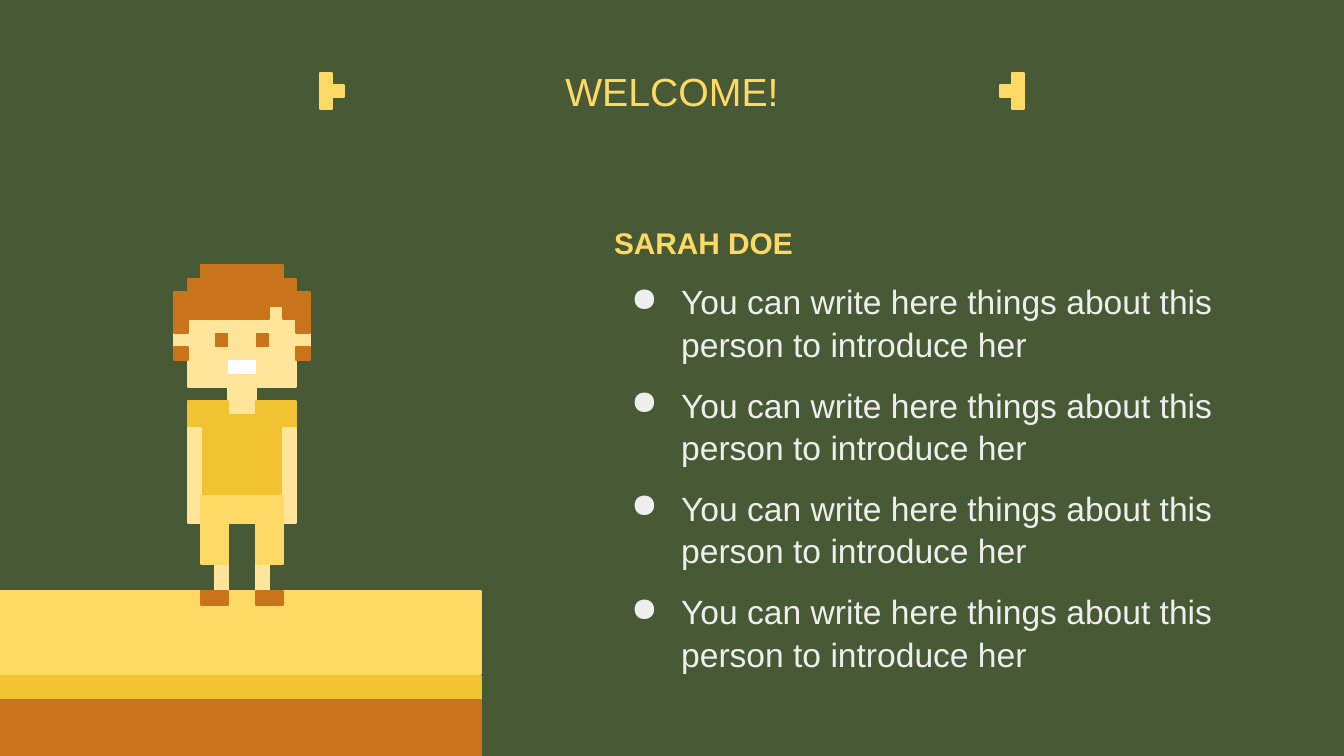
from lxml import etree
from pptx import Presentation
from pptx.dml.color import RGBColor
from pptx.enum.shapes import MSO_SHAPE
from pptx.enum.text import MSO_ANCHOR, PP_ALIGN
from pptx.oxml.ns import qn
from pptx.util import Pt

RECT = MSO_SHAPE.RECTANGLE
BOTTOM, MIDDLE = MSO_ANCHOR.BOTTOM, MSO_ANCHOR.MIDDLE
LEFT, CENTER = PP_ALIGN.LEFT, PP_ALIGN.CENTER

GREEN = RGBColor(0x48, 0x59, 0x35)
YELLOW = RGBColor(0xFF, 0xD9, 0x66)
GOLD = RGBColor(0xF1, 0xC2, 0x32)
BROWN = RGBColor(0xC9, 0x74, 0x1B)
SKIN = RGBColor(0xFF, 0xE5, 0x99)
WHITE = RGBColor(0xFF, 0xFF, 0xFF)
PALE = RGBColor(0xEE, 0xEE, 0xEE)

FONT = "Arial"
WIDTH, HEIGHT = 1344, 756
FIGURE_X, FIGURE_Y, CELL = 174, 265, 13.6
MARK_CELL = 12
BULLET_TEXT = "You can write here things about this person to introduce her"


def px(n):
    return round(n * 9144000 / WIDTH)


def paint(sp, color, outlined=True):
    sp.shadow.inherit = False
    sp.fill.solid()
    sp.fill.fore_color.rgb = color
    if outlined:
        sp.line.color.rgb = color
        sp.line.width = Pt(0.75)
    else:
        sp.line.fill.background()


def add_polygon(s, points, color, outlined=True):
    points = [(px(x), px(y)) for x, y in points]
    builder = s.shapes.build_freeform(*points[0])
    builder.add_line_segments(points[1:], close=True)
    paint(builder.convert_to_shape(), color, outlined)


def box(x, y, w, h):
    return [(x, y), (x, y + h), (x + w, y + h), (x + w, y)]


def add_band(s, y, h, color):
    paint(s.shapes.add_shape(RECT, 0, px(y), px(481), px(h)), color)


def add_part(s, cells, color, outlined=True):
    """Draw one part of the figure, given in grid cells."""
    points = [(round(FIGURE_X + c * CELL), round(FIGURE_Y + r * CELL))
              for c, r in cells]
    add_polygon(s, points, color, outlined)


def add_figure(s):
    # Shins
    for col in (6, 3):
        add_part(s, box(col, 22, 1, 2), SKIN)
    # Face and neck
    add_part(s, [(7, 3), (7, 4), (1, 4), (1, 5), (0, 5), (0, 6), (1, 6),
                 (1, 9), (4, 9), (4, 11), (6, 11), (6, 9), (9, 9), (9, 6),
                 (10, 6), (10, 5), (9, 5), (9, 4), (8, 4), (8, 3)], SKIN)
    # Shirt
    add_part(s, [(1, 10), (1, 12), (2, 12), (2, 17), (8, 17), (8, 12),
                 (9, 12), (9, 10), (6, 10), (6, 11), (4, 11), (4, 10)], GOLD)
    # Eyes and mouth
    for col in (6, 3):
        add_part(s, box(col, 5, 1, 1), BROWN, outlined=False)
    add_part(s, box(4, 7, 2, 1), WHITE, outlined=False)
    # Arms
    for col in (8, 1):
        add_part(s, box(col, 12, 1, 7), SKIN)
    # Shoes
    for col in (6, 2):
        add_part(s, box(col, 24, 2, 1), BROWN)
    # Hair
    add_part(s, [(2, 0), (2, 1), (1, 1), (1, 2), (0, 2), (0, 5), (1, 5),
                 (1, 4), (7, 4), (7, 3), (8, 3), (8, 4), (9, 4), (9, 5),
                 (10, 5), (10, 2), (9, 2), (9, 1), (8, 1), (8, 0)], BROWN)
    # Shorts
    add_part(s, [(2, 17), (2, 22), (4, 22), (4, 19), (6, 19), (6, 22),
                 (8, 22), (8, 17)], YELLOW)
    # Hair ends
    for col in (0, 9):
        add_part(s, box(col, 6, 1, 1), BROWN)


def add_mark(s, x, side):
    """Draw a column of three squares with a fourth one beside its middle."""
    for col, row in ((0, 0), (0, 1), (0, 2), (side, 1)):
        add_polygon(s, box(x + col * MARK_CELL, 73 + row * MARK_CELL,
                           MARK_CELL, MARK_CELL), YELLOW)


def add_text(s, x, y, w, h, lines, size, color, anchor, align=LEFT, bold=False):
    tf = s.shapes.add_textbox(px(x), px(y), px(w), px(h)).text_frame
    tf.word_wrap = True
    tf.vertical_anchor = anchor
    tf.margin_left = tf.margin_right = tf.margin_top = tf.margin_bottom = Pt(7.2)
    tf.text = "\n".join(lines)
    for p in tf.paragraphs:
        p.alignment = align
        p.font.name, p.font.size, p.font.bold = FONT, Pt(size), bold
        p.font.color.rgb = color
    return tf


def add_bullet(p, color):
    pPr = p._p.get_or_add_pPr()
    pPr.set("marL", str(px(67)))
    pPr.set("indent", str(px(-50)))
    char = etree.Element(qn("a:buChar"), char="●")
    clr = etree.Element(qn("a:buClr"))
    etree.SubElement(clr, qn("a:srgbClr"), val=str(color))
    pPr.insert(0, clr)
    pPr.insert(1, char)


def main():
    prs = Presentation()
    prs.slide_width, prs.slide_height = px(WIDTH), px(HEIGHT)
    s = prs.slides.add_slide(prs.slide_layouts[6])
    s.background.fill.solid()
    s.background.fill.fore_color.rgb = GREEN

    # Ground and figure
    for y, h, color in ((591, 83, YELLOW), (676, 23, GOLD), (700, 56, BROWN)):
        add_band(s, y, h, color)
    add_figure(s)

    # Headings
    add_text(s, 46, 43, 1252, 85, ["WELCOME!"], 21, YELLOW, BOTTOM, CENTER)
    add_text(s, 601, 93, 456, 181, ["SARAH DOE"], 16, YELLOW, BOTTOM, bold=True)
    add_mark(s, 320, 1)
    add_mark(s, 1012, -1)

    # Introduction
    tf = add_text(s, 601, 289, 630, 375, [BULLET_TEXT] * 4, 18, PALE, MIDDLE)
    for i, p in enumerate(tf.paragraphs):
        add_bullet(p, PALE)
        p.line_spacing = 1.05
        if i:
            p.space_before = Pt(10)
    p.space_after = Pt(10)

    prs.save("out.pptx")


if __name__ == "__main__":
    main()
